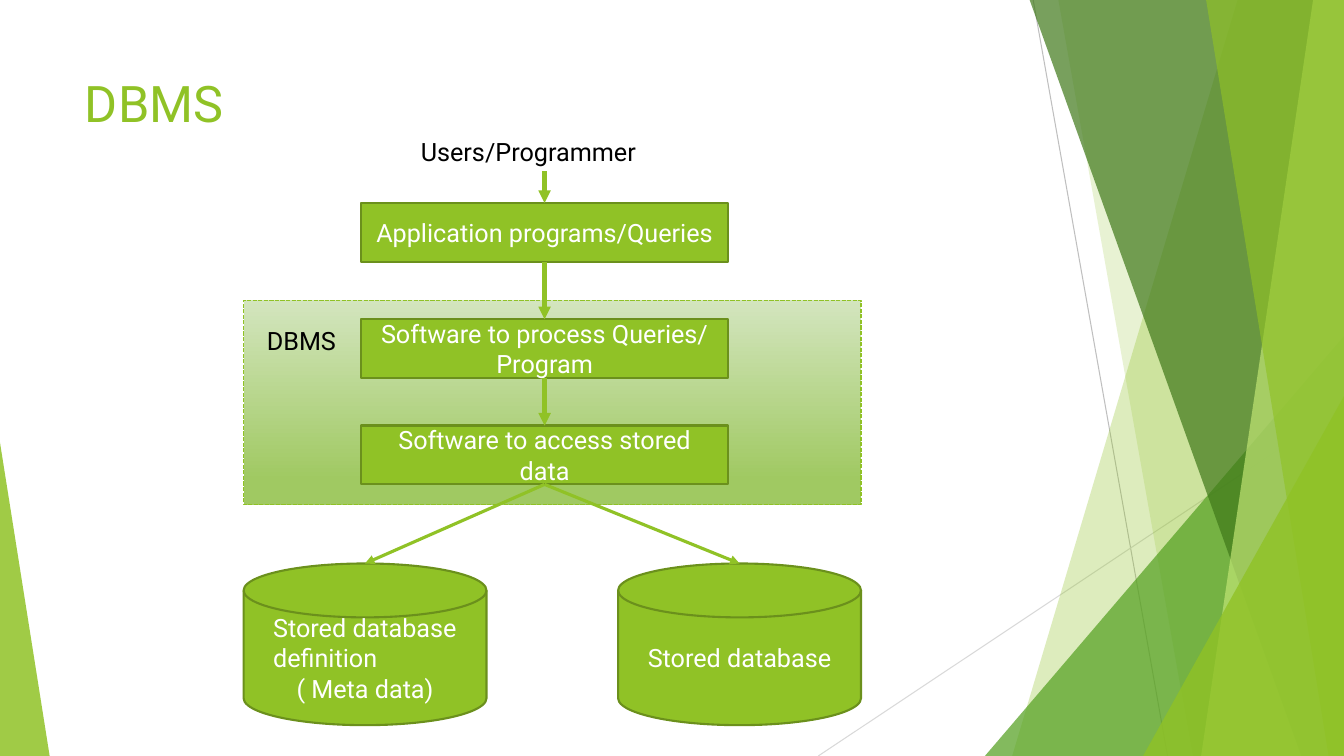
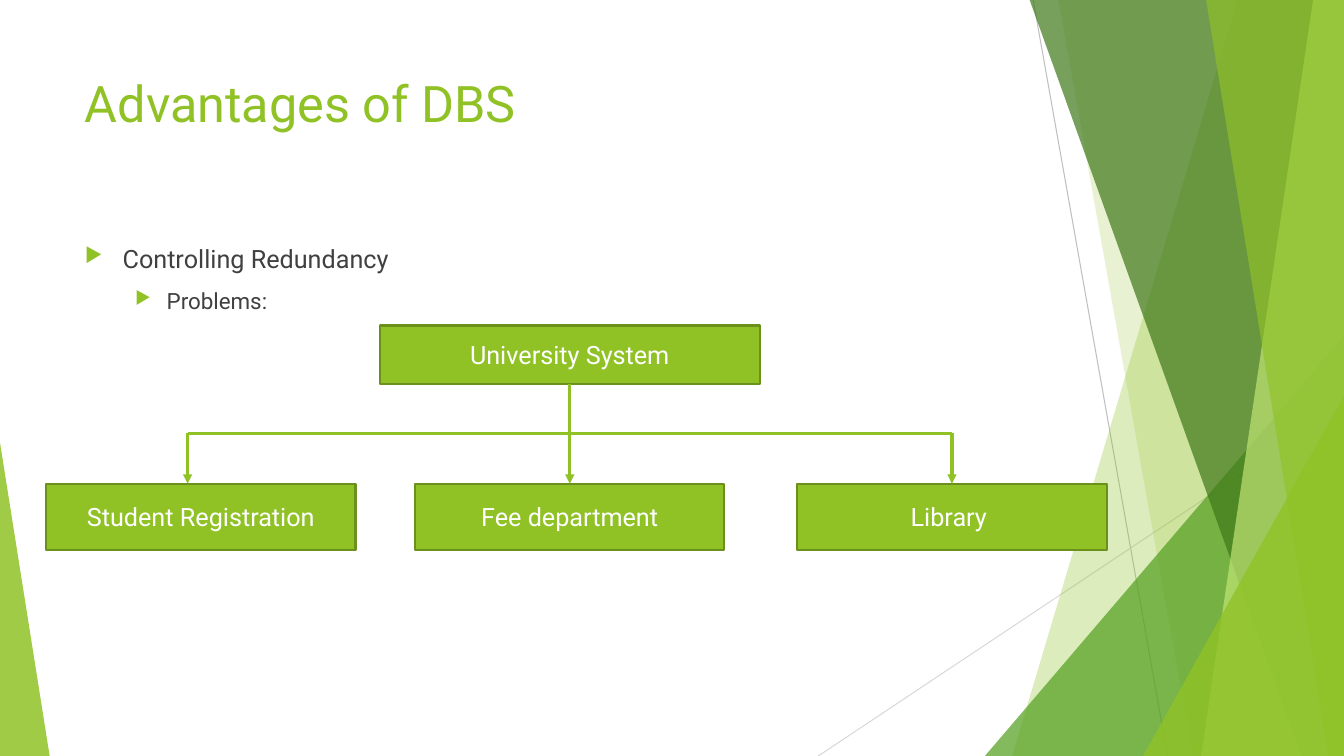
from lxml import etree
from pptx import Presentation
from pptx.dml.color import RGBColor
from pptx.enum.dml import MSO_LINE
from pptx.enum.shapes import MSO_CONNECTOR, MSO_SHAPE
from pptx.enum.text import MSO_ANCHOR, MSO_AUTO_SIZE, PP_ALIGN
from pptx.oxml.ns import qn
from pptx.util import Pt

# Shared style
FONT = "Roboto"
WIDTH, HEIGHT = 960, 540
GREEN = RGBColor(0x90, 0xC2, 0x26)
OUTLINE = RGBColor(0x6B, 0x90, 0x1C)
MID_GREEN = RGBColor(0x54, 0xA0, 0x21)
DARK_GREEN = RGBColor(0x3F, 0x78, 0x19)
LIGHT_GREEN = RGBColor(0xC0, 0xE4, 0x74)
FADE_TOP = RGBColor(0xD3, 0xE5, 0xBE)
FADE_BOTTOM = RGBColor(0xA0, 0xC9, 0x62)
GREY = RGBColor(0xBF, 0xBF, 0xBF)
PALE_GREY = RGBColor(0xD9, 0xD9, 0xD9)
TEXT_GREY = RGBColor(0x40, 0x40, 0x40)
BLACK = RGBColor(0, 0, 0)
WHITE = RGBColor(0xFF, 0xFF, 0xFF)

LEFT, CENTER = PP_ALIGN.LEFT, PP_ALIGN.CENTER
TOP, MIDDLE = MSO_ANCHOR.TOP, MSO_ANCHOR.MIDDLE
RECTANGLE = MSO_SHAPE.RECTANGLE
TRIANGLE = MSO_SHAPE.ISOSCELES_TRIANGLE
DISK = MSO_SHAPE.FLOWCHART_MAGNETIC_DISK
STRAIGHT = MSO_CONNECTOR.STRAIGHT
SHORT_DASH = MSO_LINE.SQUARE_DOT


def add_child(parent, tag, **attributes):
    return etree.SubElement(parent, qn(tag), attributes)


# Text
def write_text(frame, text, size=18, color=WHITE, align=CENTER, anchor=MIDDLE):
    """Write each line of text as one paragraph and return the paragraphs."""
    frame.word_wrap = True
    frame.auto_size = MSO_AUTO_SIZE.NONE
    frame.vertical_anchor = anchor
    frame.text = text
    for para in frame.paragraphs:
        para.alignment = align
        for span in para.runs:
            span.font.name = FONT
            span.font.size = Pt(size)
            span.font.color.rgb = color
    return frame.paragraphs


def add_label(page, left, top, width, height, text, **style):
    box = page.shapes.add_textbox(Pt(left), Pt(top), Pt(width), Pt(height))
    style = {"color": BLACK, "align": LEFT, "anchor": TOP} | style
    return write_text(box.text_frame, text, **style)


def set_bullet(para, margin, hanging):
    para.space_before = Pt(10)
    properties = para._p.get_or_add_pPr()
    properties.set("marL", str(Pt(margin)))
    properties.set("indent", str(-Pt(hanging)))
    color = add_child(properties, "a:buClr")
    add_child(color, "a:srgbClr", val=str(GREEN))
    add_child(properties, "a:buSzPct", val="80000")
    add_child(properties, "a:buChar", char="▶")


# Shapes and lines
def add_node(page, left, top, width, height, text="", kind=RECTANGLE):
    node = page.shapes.add_shape(kind, Pt(left), Pt(top), Pt(width), Pt(height))
    node.shadow.inherit = False
    node.fill.solid()
    node.fill.fore_color.rgb = GREEN
    node.line.color.rgb = OUTLINE
    node.line.width = Pt(1.5)
    if text:
        write_text(node.text_frame, text)
    return node


def add_line(page, start, end, color=GREEN, width=2.25, arrow=False):
    ends = [Pt(value) for value in (*start, *end)]
    line = page.shapes.add_connector(STRAIGHT, *ends)
    line.line.color.rgb = color
    line.line.width = Pt(width)
    if arrow:
        add_child(line.line._get_or_add_ln(), "a:tailEnd", type="triangle")
    add_child(line._element.spPr, "a:effectLst")


def tint(shape, color, opacity):
    shape.shadow.inherit = False
    shape.line.fill.background()
    shape.fill.solid()
    shape.fill.fore_color.rgb = color
    rgb = shape._element.spPr.find(qn("a:solidFill")).find(qn("a:srgbClr"))
    add_child(rgb, "a:alpha", val=str(opacity * 1000))


def add_band(page, top_x, bottom_x, color, opacity):
    """Fill from a slanted left edge to the right edge of the page."""
    outline = page.shapes.build_freeform(Pt(top_x), 0)
    corners = [(WIDTH, 0), (WIDTH, HEIGHT), (bottom_x, HEIGHT)]
    outline.add_line_segments([(Pt(x), Pt(y)) for x, y in corners])
    tint(outline.convert_to_shape(), color, opacity)


def add_wedge(page, left, top, width, color, opacity, peak=1):
    """Stand a right-angled triangle on the bottom edge."""
    wedge = page.shapes.add_shape(
        TRIANGLE, Pt(left), Pt(top), Pt(width), Pt(HEIGHT - top))
    wedge.adjustments[0] = peak
    tint(wedge, color, opacity)


def add_decoration(page):
    add_line(page, (738, 0), (834, HEIGHT), GREY, 0.75)
    add_line(page, (WIDTH, 290), (584.5, HEIGHT), PALE_GREY, 0.75)
    add_band(page, 884, 723, GREEN, 30)
    add_band(page, 756, 852, GREEN, 20)
    add_wedge(page, 703.5, 240, 256.5, MID_GREEN, 72)
    add_band(page, 735.5, 929.5, DARK_GREEN, 70)
    add_band(page, 938, 858, LIGHT_GREEN, 70)
    add_band(page, 861.5, 949, GREEN, 65)
    add_wedge(page, 816.5, 283, 143.5, GREEN, 80)
    add_wedge(page, 0, 316, 35.5, GREEN, 85, peak=0)


def new_page(deck, heading):
    page = deck.slides.add_slide(deck.slide_layouts[5])
    add_decoration(page)
    title = page.shapes.title
    title.left, title.top = Pt(53.5), Pt(48)
    title.width, title.height = Pt(677), Pt(104)
    write_text(title.text_frame, heading, size=36, color=GREEN,
               align=LEFT, anchor=TOP)
    return page


# Slides
def build_dbms(deck):
    page = new_page(deck, "DBMS")
    frame_left, frame_width = 174, 441
    box_left, box_width, box_height = 258, 262, 42
    center = box_left + box_width / 2
    program_top, query_top, access_top = 145, 228, 304
    disk_top, disk_width = 402.5, 173.5

    # DBMS frame
    frame = add_node(page, frame_left, 214.5, frame_width, 146)
    frame.fill.gradient()
    frame.fill.gradient_angle = 270
    fade = [(0, FADE_TOP), (0.88, FADE_BOTTOM)]
    for stop, (position, color) in zip(frame.fill.gradient_stops, fade):
        stop.position = position
        stop.color.rgb = color
    frame.line.color.rgb = GREEN
    frame.line.width = Pt(1)
    frame.line.dash_style = SHORT_DASH

    # Labels and layers
    add_label(page, 293.5, 93.5, 190, 29, "Users/Programmer")
    add_label(page, 183.5, 228.5, 74, 29, "DBMS")
    layers = [
        (program_top, "Application programs/Queries"),
        (query_top, "Software to process Queries/ Program"),
        (access_top, "Software to access stored data"),
    ]
    for top, text in layers:
        add_node(page, box_left, top, box_width, box_height, text)

    # Arrows between layers
    for start, end in [(122.5, program_top),
                       (program_top + box_height, query_top),
                       (query_top + box_height, access_top)]:
        add_line(page, (center, start), (center, end), width=3, arrow=True)

    # Stores
    stores = [
        (frame_left, "Stored database definition\n( Meta data)"),
        (frame_left + frame_width - disk_width, "Stored database"),
    ]
    for left, text in stores:
        disk = add_node(page, left, disk_top, disk_width, 115.5, text, DISK)
        if "\n" in text:
            first = disk.text_frame.paragraphs[0]
            first.alignment = LEFT
            first._p.get_or_add_pPr().set("marL", str(Pt(14)))
        add_line(page, (center, access_top + box_height),
                 (left + disk_width / 2, disk_top), arrow=True)


def build_advantages(deck):
    page = new_page(deck, "Advantages of DBS")

    # Bullets
    topic, detail = add_label(page, 53.5, 170, 677, 305,
                              "Controlling Redundancy\nProblems:",
                              color=TEXT_GREY)
    set_bullet(topic, 27, 27)
    set_bullet(detail, 58.5, 22.5)
    detail.level = 1
    detail.runs[0].font.size = Pt(16)

    # Organisation tree
    root_top, root_height = 232.5, 42
    center, branch_gap = 407, 273
    branch_y, unit_top = 309.5, 345.5
    add_node(page, 271.25, root_top, 271.5, root_height, "University System")
    add_line(page, (center, root_top + root_height), (center, branch_y))
    add_line(page, (center - branch_gap, branch_y),
             (center + branch_gap, branch_y))
    units = [(33, "Student Registration"), (296.5, "Fee department"),
             (569.5, "Library ")]
    for index, (left, text) in enumerate(units):
        add_node(page, left, unit_top, 221, 47.5, text)
        branch_x = center + (index - 1) * branch_gap
        add_line(page, (branch_x, branch_y), (branch_x, unit_top), arrow=True)


def main():
    deck = Presentation()
    deck.slide_width, deck.slide_height = Pt(WIDTH), Pt(HEIGHT)
    build_dbms(deck)
    build_advantages(deck)
    deck.save("out.pptx")


if __name__ == "__main__":
    main()
